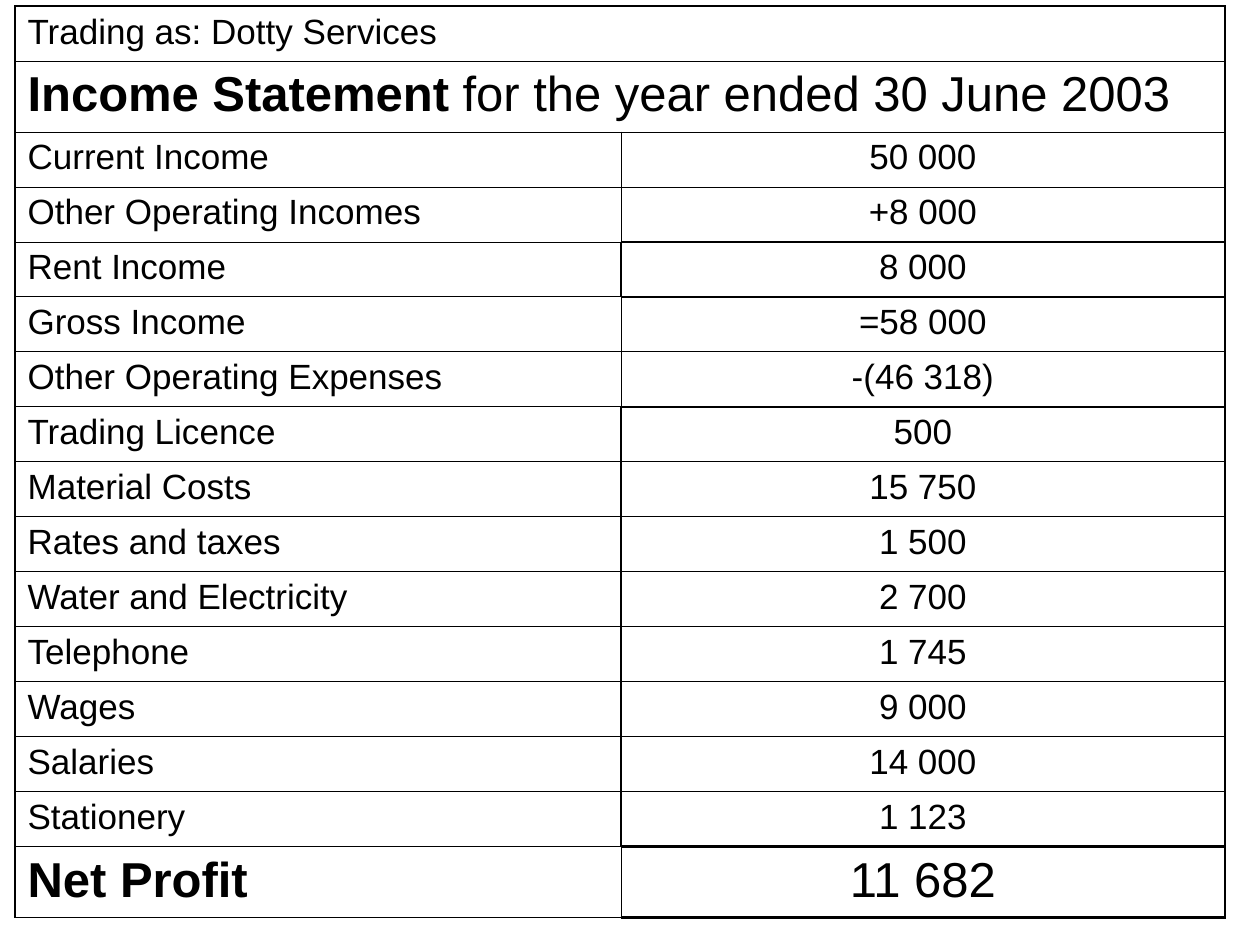
from lxml.etree import SubElement as Sub
from pptx import Presentation
from pptx.dml.color import RGBColor
from pptx.enum.text import PP_ALIGN as Align
from pptx.oxml.ns import qn
from pptx.util import Emu, Pt

PX = 914400 // 126
BLACK = RGBColor(0, 0, 0)
FONT = "Arial"
THIN, MID, BOLD = 0.45, 1.08, 1.47
LEFT, TOP = 15, 6
COLS = (606, 604)
SIZES = {20: 55, 28: 71}

HEADS = [
    (20, [("Trading as: Dotty Services", False)]),
    (28, [("Income Statement", True), (" for the year ended 30 June 2003", False)]),
]
LINES = [
    ("Current Income", "50 000", False),
    ("Other Operating Incomes", "+8 000", False),
    ("Rent Income", "8 000", True),
    ("Gross Income", "=58 000", False),
    ("Other Operating Expenses", "-(46 318)", False),
    ("Trading Licence", "500", True),
    ("Material Costs", "15 750", True),
    ("Rates and taxes", "1 500", True),
    ("Water and Electricity", "2 700", True),
    ("Telephone", "1 745", True),
    ("Wages", "9 000", True),
    ("Salaries", "14 000", True),
    ("Stationery", "1 123", True),
    ("Net Profit", "11 682", False),
]


def px(n):
    return Emu(n * PX)


def border(cell, widths):
    props = cell._tc.get_or_add_tcPr()
    for i, (side, width) in enumerate(zip("LRTB", widths)):
        line = props.makeelement(qn("a:ln" + side), {"w": str(Pt(width))})
        fill = Sub(line, qn("a:solidFill"))
        Sub(fill, qn("a:srgbClr"), val=str(BLACK))
        props.insert(i, line)


def write(cell, runs, size, align, widths):
    cell.fill.background()
    para = cell.text_frame.paragraphs[0]
    para.alignment = align
    for text, bold in runs:
        run = para.add_run()
        run.text = text
        font = run.font
        font.name, font.size, font.bold = FONT, Pt(size), bold
        font.color.rgb = BLACK
    border(cell, widths)


def main():
    deck = Presentation()
    deck.slide_width, deck.slide_height = px(1260), px(945)
    slide = deck.slides.add_slide(deck.slide_layouts[6])

    last = len(LINES) - 1
    sizes = [size for size, _ in HEADS] + [20] * last + [28]
    highs = [SIZES[size] for size in sizes]
    frame = slide.shapes.add_table(
        len(highs), len(COLS), px(LEFT), px(TOP), px(sum(COLS)), px(sum(highs)))
    table = frame.table
    table.first_row = table.horz_banding = False
    for col, wide in zip(table.columns, COLS):
        col.width = px(wide)
    for row, high in zip(table.rows, highs):
        row.height = px(high)

    for r, (size, runs) in enumerate(HEADS):
        cell = table.cell(r, 0)
        cell.merge(table.cell(r, 1))
        edges = (MID, MID, THIN if r else MID, THIN)
        write(cell, runs, size, Align.LEFT, edges)
        border(table.cell(r, 1), edges)

    for i, (label, value, item) in enumerate(LINES):
        r = i + len(HEADS)
        total = i == last
        above = LINES[i - 1][2] if i else item
        below = item if total else LINES[i + 1][2]
        side = BOLD if item else THIN
        top = BOLD if above != item else THIN
        base = BOLD if total or below != item else THIN
        write(table.cell(r, 0), [(label, total)], sizes[r], Align.LEFT,
              (MID, side, THIN, MID if total else THIN))
        write(table.cell(r, 1), [(value, False)], sizes[r], Align.CENTER,
              (side, BOLD if item else MID, top, base))

    deck.save("out.pptx")


if __name__ == "__main__":
    main()
